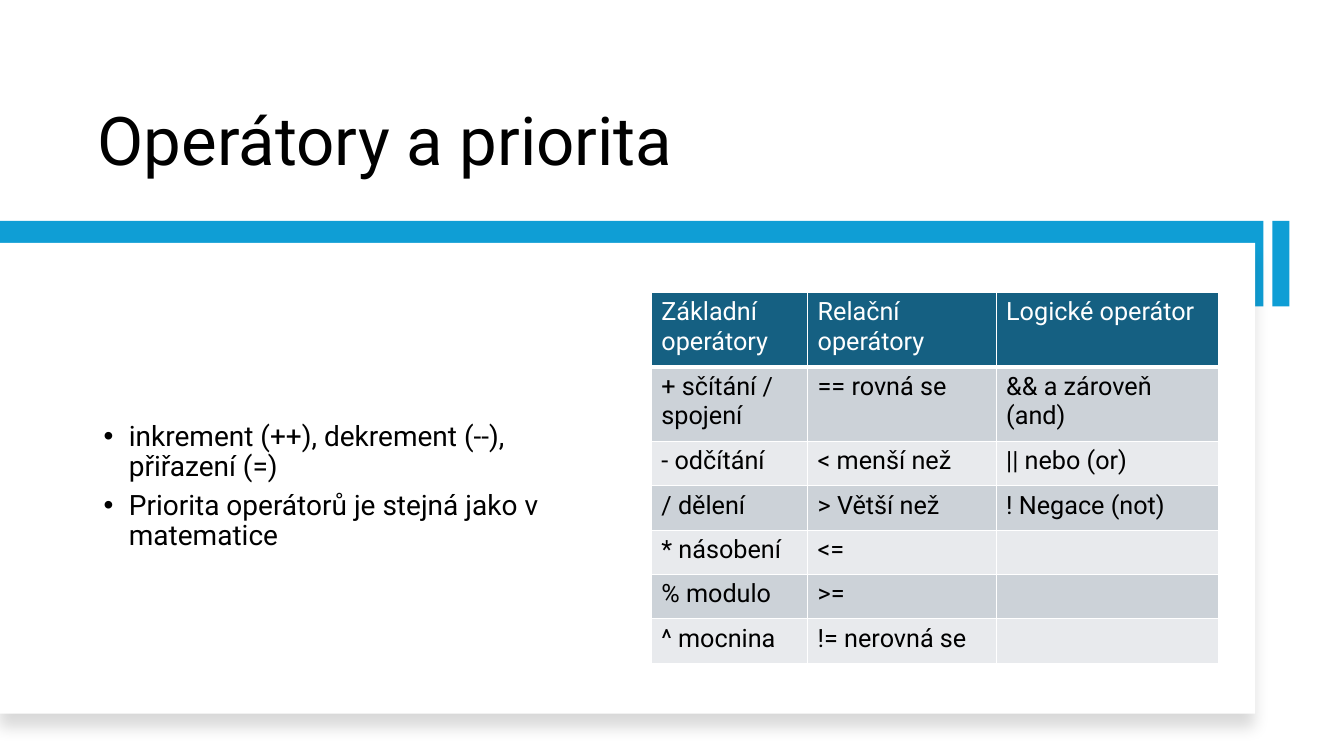
import dataclasses

import pptx
import pptx.dml.color
import pptx.enum.shapes
import pptx.enum.text
import pptx.oxml
import pptx.oxml.ns
import pptx.util
from lxml import etree

PX = 9144


@dataclasses.dataclass(frozen=True)
class Theme:
    font: str = "Roboto"
    text: str = "000000"
    white: str = "FFFFFF"
    accent: str = "0F9ED5"
    header: str = "156082"
    bands: tuple = ("CCD2D8", "E8EAED")
    title_size: int = 48
    body_size: int = 20
    table_size: int = 18


THEME = Theme()
TITLE = "Operátory a priorita"
BULLETS = [
    "inkrement (++), dekrement (--), přiřazení (=)",
    "Priorita operátorů je stejná jako v matematice",
]
OPERATORS = [
    ["Základní operátory", "Relační operátory", "Logické operátor"],
    ["+ sčítání / spojení", "== rovná se", "&& a zároveň (and)"],
    ["- odčítání", "< menší než", "|| nebo (or)"],
    ["/ dělení", "> Větší než", "! Negace (not)"],
    ["* násobení", "<=", ""],
    ["% modulo", ">=", ""],
    ["^ mocnina", "!= nerovná se", ""],
]


def px(n):
    return pptx.util.Emu(n * PX)


def emu_box(box):
    return [px(n) for n in box]


def rgb(value):
    return pptx.dml.color.RGBColor.from_string(value)


def add_xml(parent, tag, **attrs):
    el = etree.SubElement(parent, pptx.oxml.ns.qn(tag))
    for name, value in attrs.items():
        el.set(name, str(value))
    return el


def style(p, size, color):
    for r in p.runs:
        r.font.name = THEME.font
        r.font.size = pptx.util.Pt(size)
        r.font.color.rgb = rgb(color)


def add_rect(s, box, color):
    sp = s.shapes.add_shape(pptx.enum.shapes.MSO_SHAPE.RECTANGLE, *emu_box(box))
    sp.shadow.inherit = False
    sp.fill.solid()
    sp.fill.fore_color.rgb = rgb(color)
    sp.line.fill.background()
    return sp


def add_soft_shadow(sp):
    effects = sp._element.spPr.find(pptx.oxml.ns.qn("a:effectLst"))
    shadow = add_xml(effects, "a:outerShdw", blurRad=pptx.util.Pt(11),
                     dist=pptx.util.Pt(10), dir=90 * 60000, algn="t", rotWithShape=0)
    color = add_xml(shadow, "a:srgbClr", val=THEME.text)
    add_xml(color, "a:alpha", val=15000)


def add_title(s, box):
    sp = s.shapes.title
    sp.left, sp.top, sp.width, sp.height = emu_box(box)
    tf = sp.text_frame
    tf.text = TITLE
    tf.word_wrap = True
    tf.auto_size = pptx.enum.text.MSO_AUTO_SIZE.NONE
    tf.vertical_anchor = pptx.enum.text.MSO_ANCHOR.BOTTOM
    p = tf.paragraphs[0]
    p.alignment = pptx.enum.text.PP_ALIGN.LEFT
    p.line_spacing = 0.9
    style(p, THEME.title_size, THEME.text)


def add_panel(s, box):
    left, top, width, height = box
    bar_height = 85
    bar_top = top - 22
    add_rect(s, (left, bar_top, width + 8, bar_height), THEME.accent)
    add_soft_shadow(add_rect(s, box, THEME.white))
    add_rect(s, (left + width + 17, bar_top, 17, bar_height), THEME.accent)


def add_bullets(s, box):
    tf = s.shapes.add_textbox(*emu_box(box)).text_frame
    tf.word_wrap = True
    tf.vertical_anchor = pptx.enum.text.MSO_ANCHOR.MIDDLE
    for i, text in enumerate(BULLETS):
        p = tf.paragraphs[0] if i == 0 else tf.add_paragraph()
        p.text = text
        p.line_spacing = 0.9
        p.space_after = pptx.util.Pt(6)
        pPr = p._p.get_or_add_pPr()
        pPr.set("marL", str(px(31)))
        pPr.set("indent", str(px(-25)))
        add_xml(pPr, "a:buFont", typeface="Arial")
        add_xml(pPr, "a:buChar", char="•")
        style(p, THEME.body_size, THEME.text)


def add_borders(cell, bottom):
    tcPr = cell._tc.get_or_add_tcPr()
    widths = {"a:lnL": 1, "a:lnR": 1, "a:lnT": 1, "a:lnB": bottom}
    for i, (tag, width) in enumerate(widths.items()):
        ln = add_xml(tcPr, tag, w=pptx.util.Pt(width))
        add_xml(add_xml(ln, "a:solidFill"), "a:srgbClr", val=THEME.white)
        tcPr.insert(i, ln)


def add_operator_table(s, box):
    table = s.shapes.add_table(len(OPERATORS), len(OPERATORS[0]), *emu_box(box)).table
    for column, width in zip(table.columns, (155, 187, 221)):
        column.width = px(width)
    for i, values in enumerate(OPERATORS):
        is_header = i == 0
        table.rows[i].height = px(74 if i < 2 else 44)
        fill = THEME.header if is_header else THEME.bands[(i - 1) % 2]
        for j, value in enumerate(values):
            cell = table.cell(i, j)
            cell.text = value
            cell.fill.solid()
            cell.fill.fore_color.rgb = rgb(fill)
            add_borders(cell, 3 if is_header else 1)
            style(cell.text_frame.paragraphs[0], THEME.table_size,
                  THEME.white if is_header else THEME.text)


def main():
    prs = pptx.Presentation()
    prs.slide_width, prs.slide_height = px(1333), px(750)
    s = prs.slides.add_slide(prs.slide_layouts[5])
    add_title(s, (87, 42, 1101, 142))
    add_panel(s, (0, 241, 1245, 467))
    add_bullets(s, (87, 284, 496, 398))
    add_operator_table(s, (646, 290, 563, 368))
    prs.save("out.pptx")


if __name__ == "__main__":
    main()
